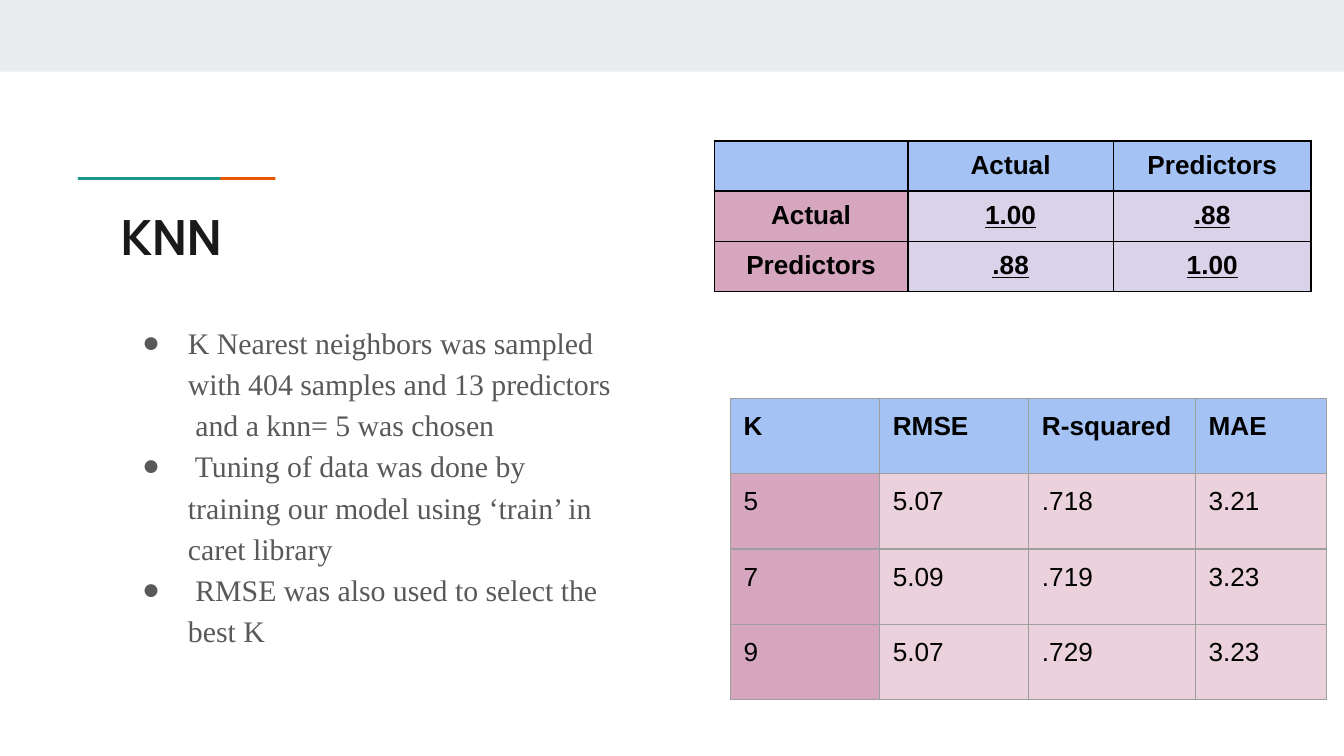
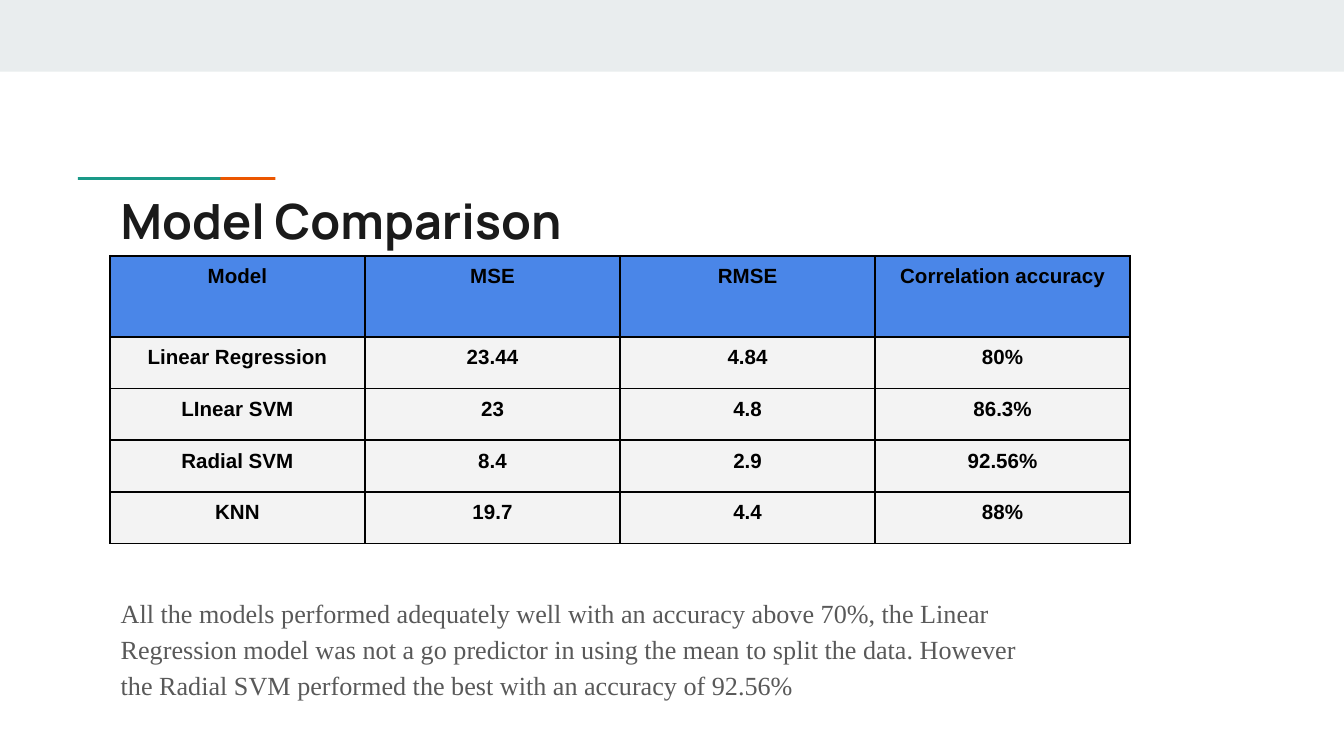
import lxml.etree
import pptx
import pptx.dml.color
import pptx.enum.shapes
import pptx.enum.text
import pptx.oxml.ns
import pptx.util

CENTER = pptx.enum.text.PP_ALIGN.CENTER
LEFT = pptx.enum.text.PP_ALIGN.LEFT

THEME = {
    "white": "FFFFFF", "band": "E9EDEE", "teal": "1A9988", "orange": "EB5600",
    "title": "1A1A1A", "body": "595959", "ink": "000000", "grey": "9E9E9E",
    "sky": "A4C2F4", "rose": "D5A6BD", "lilac": "D9D2E9", "blush": "EAD1DC",
    "blue": "4A86E8", "mist": "F3F3F3",
    "title_font": "Manrope", "body_font": "Times New Roman", "table_font": "Arial",
    "title_size": 26, "bullet_size": 16, "text_size": 14, "small_size": 11,
}

SLIDE_WIDTH = 10
SLIDE_HEIGHT = SLIDE_WIDTH * 9 / 16
GRID = SLIDE_WIDTH / 100

BAND = (0, 0, 100, 5.33)
ACCENTS = [("orange", (9.9, 13.18, 10.6, 0.2)), ("teal", (5.8, 13.18, 10.6, 0.2))]

SLIDES = [
    {
        "title": "KNN",
        "title_top": 14.4,
        "body_box": (8, 22.75, 38.8, 24.7),
        "body_size": "bullet_size",
        "bulleted": True,
        "body": [
            "K Nearest neighbors was sampled with 404 samples and 13 predictors  and a knn= 5 was chosen",
            " Tuning of data was done by training our model using ‘train’ in caret library",
            " RMSE was also used to select the best K",
        ],
        "tables": [
            {
                "corner": (53.15, 10.5),
                "columns": [14.4, 15.3, 14.7],
                "rows": [0] * 3,
                "height": 11.2,
                "cells": [
                    ["", "Actual", "Predictors"],
                    ["Actual", "1.00", ".88"],
                    ["Predictors", ".88", "1.00"],
                ],
                "fills": ("sky", "rose", "lilac"),
                "border": ("ink", 1), "inset": 0.7, "size": "text_size",
                "align": CENTER, "bold_values": True, "underline_values": True,
            },
            {
                "corner": (54.33, 29.65),
                "columns": [11.1, 11.1, 12.4, 9.8],
                "rows": [5.6] * 4,
                "height": 22.4,
                "cells": [
                    ["K", "RMSE", "R-squared", "MAE"],
                    ["5", "5.07", ".718", "3.21"],
                    ["7", "5.09", ".719", "3.23"],
                    ["9", "5.07", ".729", "3.23"],
                ],
                "fills": ("sky", "rose", "blush"),
                "border": ("grey", 0.75), "inset": 1, "size": "text_size",
                "align": LEFT, "bold_values": False, "underline_values": False,
            },
        ],
    },
    {
        "title": "Model Comparison",
        "title_top": 13.2,
        "body_box": (8, 43.1, 71.3, 11),
        "body_size": "text_size",
        "bulleted": False,
        "body": [
            "All the models performed adequately well with an accuracy above 70%, the Linear "
            "Regression model was not a go predictor in using the mean to split the data. However "
            "the Radial SVM performed the best with an accuracy of 92.56%",
        ],
        "tables": [
            {
                "corner": (8.18, 19.03),
                "columns": [18.98] * 4,
                "rows": [6.05] + [3.84] * 4,
                "height": 21.41,
                "cells": [
                    ["Model", "MSE", "RMSE", "Correlation accuracy"],
                    ["Linear Regression", "23.44", "4.84", "80%"],
                    ["LInear SVM", "23", "4.8", "86.3%"],
                    ["Radial SVM", "8.4", "2.9", "92.56%"],
                    ["KNN", "19.7", "4.4", "88%"],
                ],
                "fills": ("blue", "mist", "mist"),
                "border": ("ink", 1), "inset": 0.7, "size": "small_size",
                "align": CENTER, "bold_values": True, "underline_values": False,
            },
        ],
    },
]


def length(units):
    return pptx.util.Inches(units * GRID)


def lengths(box):
    return [length(units) for units in box]


def color(name):
    return pptx.dml.color.RGBColor.from_string(THEME[name])


def apply(target, values):
    for key, value in values.items():
        setattr(target, key, value)


def paint(fill, name):
    fill.solid()
    fill.fore_color.rgb = color(name)


def child(parent, tag, **attributes):
    return lxml.etree.SubElement(parent, pptx.oxml.ns.qn(tag), attributes)


def write(paragraph, text, font, size, ink, **style):
    run = paragraph.add_run()
    run.text = text
    apply(run.font, {"name": THEME[font], "size": pptx.util.Pt(THEME[size]), **style})
    run.font.color.rgb = color(ink)


def add_bar(slide, box, name):
    bar = slide.shapes.add_shape(pptx.enum.shapes.MSO_SHAPE.RECTANGLE, *lengths(box))
    paint(bar.fill, name)
    bar.line.fill.background()
    bar.shadow.inherit = False


def margins(inset):
    return {f"margin_{side}": length(inset) for side in ("left", "top", "right", "bottom")}


def add_text_frame(slide, box):
    frame = slide.shapes.add_textbox(*lengths(box)).text_frame
    apply(frame, {"word_wrap": True, **margins(1)})
    return frame


def add_bullet(paragraph, size):
    properties = paragraph._p.get_or_add_pPr()
    properties.set("marL", str(length(5)))
    properties.set("indent", str(length(-3.4)))
    child(child(properties, "a:buClr"), "a:srgbClr", val=THEME["body"])
    child(properties, "a:buSzPts", val=str(THEME[size] * 100))
    child(properties, "a:buFont", typeface=THEME["body_font"])
    child(properties, "a:buChar", char="●")


def add_body(slide, content):
    frame = add_text_frame(slide, content["body_box"])
    for index, text in enumerate(content["body"]):
        paragraph = frame.add_paragraph() if index else frame.paragraphs[0]
        paragraph.line_spacing = 1.15
        if content["bulleted"]:
            add_bullet(paragraph, content["body_size"])
        else:
            paragraph.space_after = pptx.util.Pt(16)
        write(paragraph, text, "body_font", content["body_size"], "body")


def add_borders(cell, name, points):
    properties = cell._tc.get_or_add_tcPr()
    for edge in ("a:lnL", "a:lnR", "a:lnT", "a:lnB"):
        line = child(properties, edge, w=str(pptx.util.Pt(points)))
        child(child(line, "a:solidFill"), "a:srgbClr", val=THEME[name])


def add_grid_table(slide, content):
    columns, rows = content["columns"], content["rows"]
    box = (*content["corner"], sum(columns), content["height"])
    frame = slide.shapes.add_table(len(rows), len(columns), *lengths(box))
    table = frame.table
    apply(table, {"first_row": False, "horz_banding": False})
    for column, width in zip(table.columns, columns):
        column.width = length(width)
    for row, height in zip(table.rows, rows):
        row.height = length(height)
    frame.height = length(content["height"])
    header_fill, label_fill, value_fill = content["fills"]
    for r, texts in enumerate(content["cells"]):
        for c, text in enumerate(texts):
            cell = table.cell(r, c)
            apply(cell, margins(content["inset"]))
            add_borders(cell, *content["border"])
            paint(cell.fill, header_fill if r == 0 else value_fill if c else label_fill)
            paragraph = cell.text_frame.paragraphs[0]
            paragraph.alignment = content["align"]
            if text:
                write(paragraph, text, "table_font", content["size"], "ink",
                      bold=r == 0 or content["bold_values"],
                      underline=bool(r and c and content["underline_values"]))
            else:
                child(paragraph._p, "a:endParaRPr", sz=str(THEME[content["size"]] * 100))


def add_slide(deck, content):
    slide = deck.slides.add_slide(deck.slide_layouts[6])
    paint(slide.background.fill, "white")
    add_bar(slide, BAND, "band")
    for name, box in ACCENTS:
        add_bar(slide, box, name)
    title = add_text_frame(slide, (8, content["title_top"], 84.1, 5.9))
    write(title.paragraphs[0], content["title"], "title_font", "title_size", "title", bold=True)
    add_body(slide, content)
    for table in content["tables"]:
        add_grid_table(slide, table)


def main():
    deck = pptx.Presentation()
    apply(deck, {"slide_width": pptx.util.Inches(SLIDE_WIDTH),
                 "slide_height": pptx.util.Inches(SLIDE_HEIGHT)})
    for content in SLIDES:
        add_slide(deck, content)
    deck.save("out.pptx")


if __name__ == "__main__":
    main()
